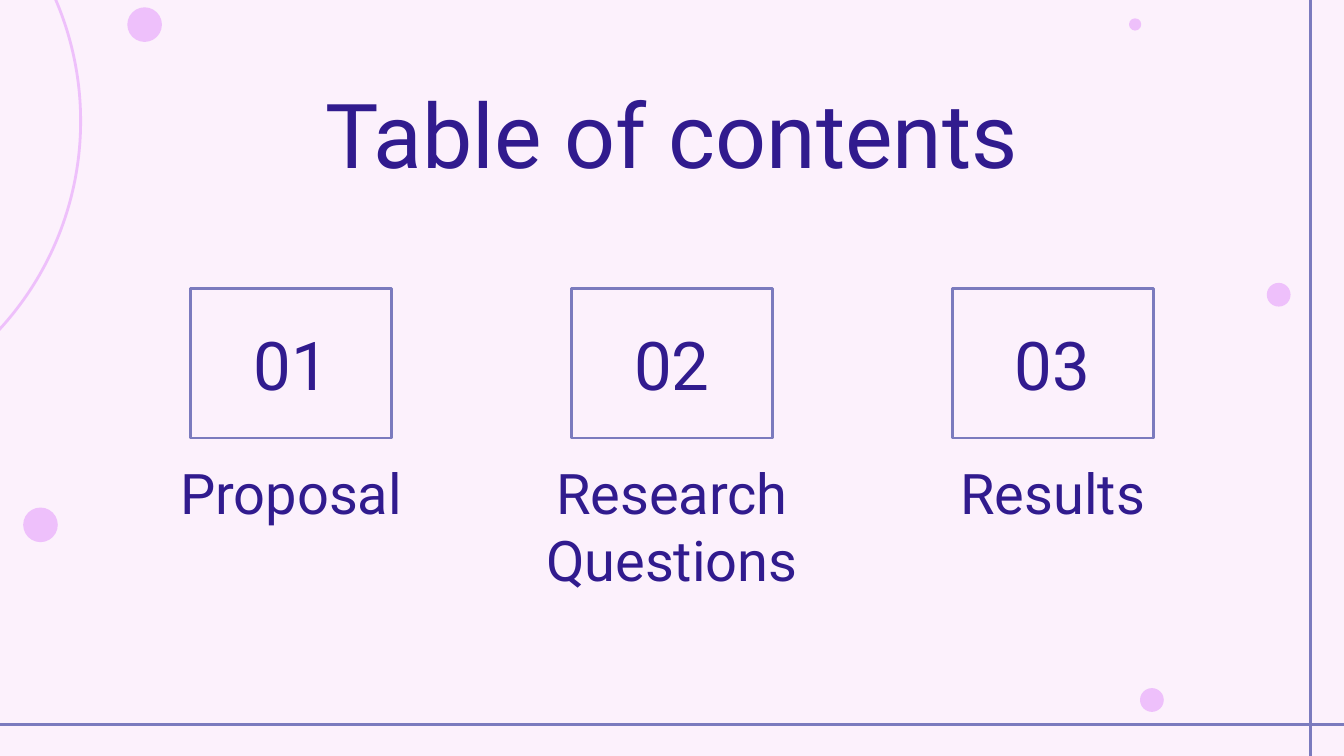
from pptx import Presentation
from pptx.dml.color import RGBColor
from pptx.enum.shapes import MSO_CONNECTOR, MSO_SHAPE
from pptx.enum.text import MSO_ANCHOR, PP_ALIGN
from pptx.oxml.ns import qn
from pptx.util import Pt
from lxml import etree

OVAL, RECT = MSO_SHAPE.OVAL, MSO_SHAPE.RECTANGLE
STRAIGHT = MSO_CONNECTOR.STRAIGHT
TOP, MIDDLE = MSO_ANCHOR.TOP, MSO_ANCHOR.MIDDLE
CENTER = PP_ALIGN.CENTER

BACKGROUND = RGBColor(0xFC, 0xF1, 0xFC)
PINK = RGBColor(0xEE, 0xC0, 0xFB)
BLUE = RGBColor(0x7B, 0x7B, 0xBE)
INDIGO = RGBColor(0x31, 0x1B, 0x8E)

W, H = 720, 405

prs = Presentation()
prs.slide_width, prs.slide_height = Pt(W), Pt(H)
s = prs.slides.add_slide(prs.slide_layouts[6])
s.background.fill.solid()
s.background.fill.fore_color.rgb = BACKGROUND


def add_outlined(kind, x, y, w, h, color, width, filled=False):
    sp = s.shapes.add_shape(kind, Pt(x), Pt(y), Pt(w), Pt(h))
    sp.shadow.inherit = False
    sp.line.color.rgb = color
    sp.line.width = Pt(width)
    if filled:
        sp.fill.solid()
        sp.fill.fore_color.rgb = color
    else:
        sp.fill.background()
    return sp


def write_text(sp, text, size, anchor=TOP):
    tf = sp.text_frame
    tf.word_wrap = True
    tf.vertical_anchor = anchor
    tf.margin_left = tf.margin_right = tf.margin_top = tf.margin_bottom = Pt(7.2)
    p = tf.paragraphs[0]
    p.alignment = CENTER
    r = p.add_run()
    r.text = text
    r.font.name = "Roboto"
    r.font.size = Pt(size)
    r.font.color.rgb = INDIGO


# Large ring and dots
add_outlined(OVAL, -286.6, -100, 329.8, 329.8, PINK, 1.5)
for x, y, d in [(68.6, 4.3, 17.8), (611.1, 369, 12), (605.2, 10.2, 5.8),
                (679, 151.9, 12), (12.8, 272.3, 17.8)]:
    add_outlined(OVAL, x, y, d, d, PINK, 0.75, filled=True)

# Frame lines along the right and bottom edges
for x1, y1, x2, y2 in [(702, 0, 702, H), (0, 388, W, 388)]:
    line = s.shapes.add_connector(STRAIGHT, Pt(x1), Pt(y1), Pt(x2), Pt(y2))
    line.line.color.rgb = BLUE
    line.line.width = Pt(1.5)
    etree.SubElement(line._element.spPr, qn("a:effectLst"))

# Title
title = s.shapes.add_textbox(Pt(56.7), Pt(35.3), Pt(606.6), Pt(45.4))
write_text(title, "Table of contents", 48)

# Three numbered sections, evenly spaced around the slide centre
PITCH, BOX_W, LABEL_W = 204, 107.6, 199.4
for i, name in enumerate(["Proposal", "Research Questions", "Results"]):
    cx = W / 2 + (i - 1) * PITCH
    box = add_outlined(RECT, cx - BOX_W / 2, 154.4, BOX_W, 80.3, BLUE, 1.5)
    write_text(box, f"{i + 1:02d}", 36, MIDDLE)
    label = s.shapes.add_textbox(Pt(cx - LABEL_W / 2), Pt(238.3), Pt(LABEL_W), Pt(35.3))
    write_text(label, name, 30)

prs.save("out.pptx")
